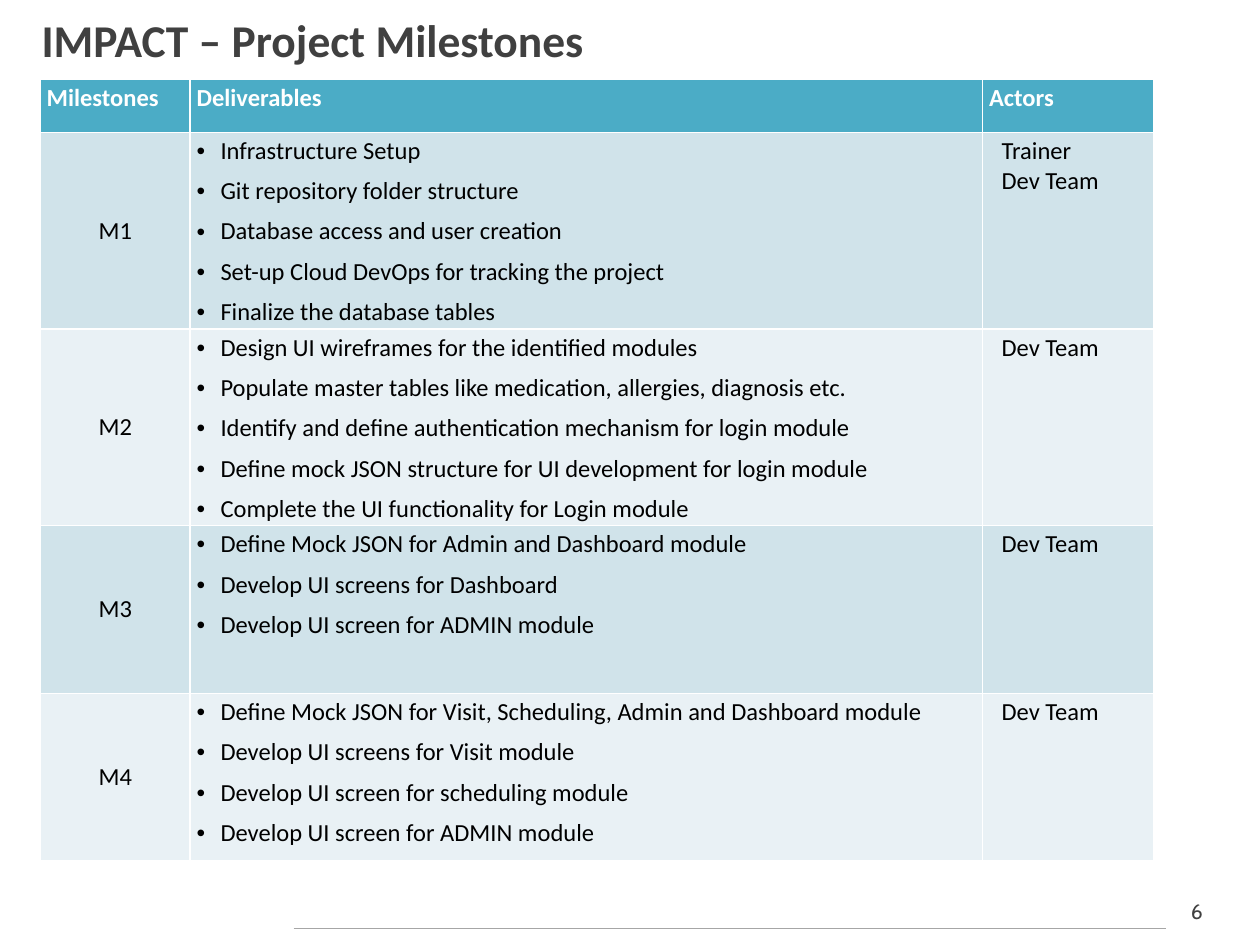
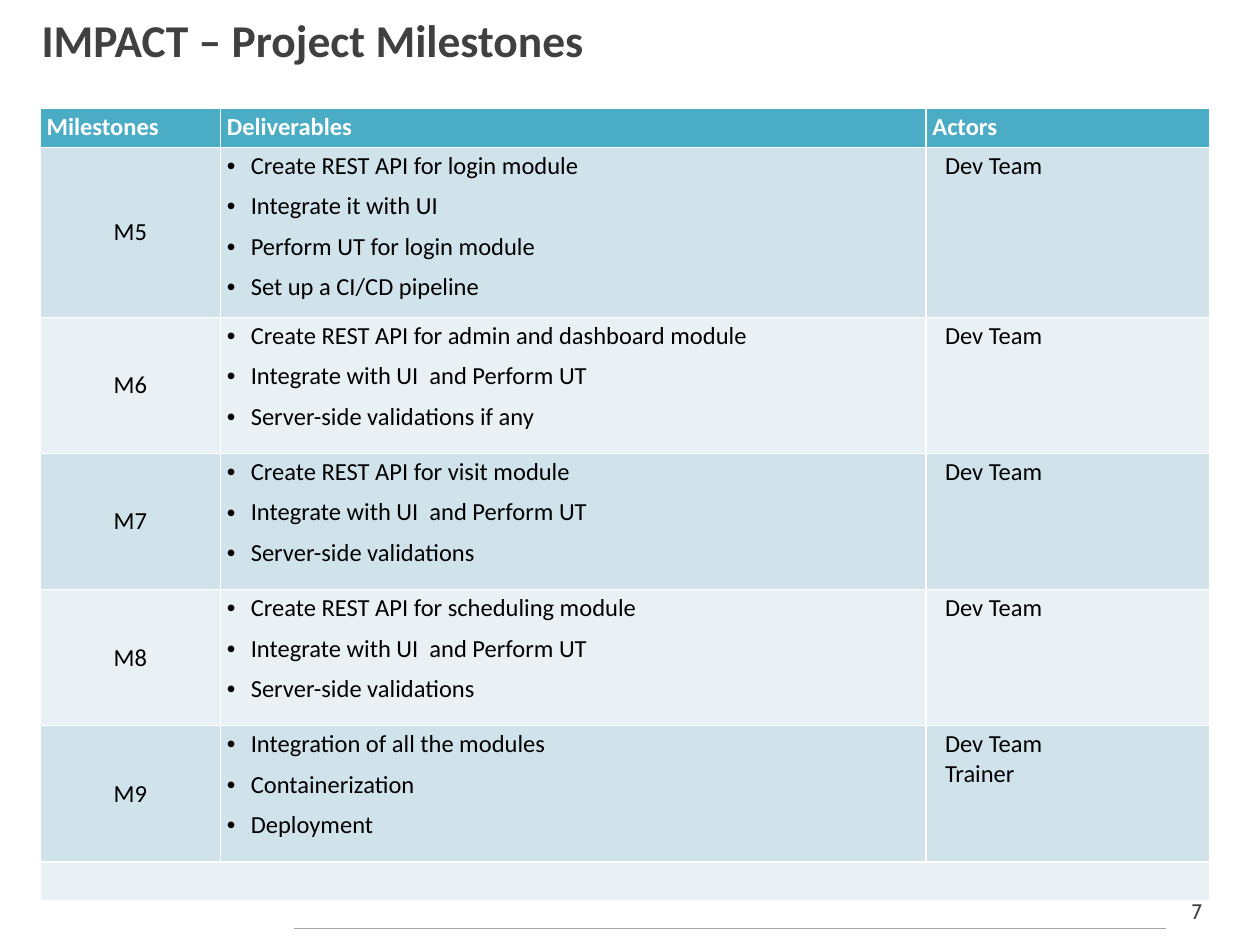
from lxml.etree import SubElement
from pptx import Presentation
from pptx.dml.color import RGBColor
from pptx.enum.shapes import MSO_CONNECTOR
from pptx.enum.text import MSO_ANCHOR, MSO_AUTO_SIZE, PP_ALIGN
from pptx.oxml.ns import qn
from pptx.util import Inches, Pt

DARK_GRAY = "404040"
RULE_GRAY = "A6A6A6"
HEADER_TEAL = "4BACC6"
BAND_COLORS = ("D0E3EA", "E9F1F5")
HEADINGS = ("Milestones", "Deliverables", "Actors")

PAGES = [
    {
        "number": 6,
        "top": 0.63,
        "columns": (1.19, 6.29, 1.36),
        "rows": (0.42, 1.33, 1.33, 1.33, 1.33),
        "milestones": [
            ("M1", ["Infrastructure Setup",
                    "Git repository folder structure",
                    "Database access and user creation",
                    "Set-up Cloud DevOps for tracking the project",
                    "Finalize the database tables"], ["Trainer", "Dev Team"]),
            ("M2", ["Design UI wireframes for the identified modules",
                    "Populate master tables like medication, allergies, diagnosis etc.",
                    "Identify and define authentication mechanism for login module",
                    "Define mock JSON structure for UI development for login module",
                    "Complete the UI functionality for Login module"], ["Dev Team"]),
            ("M3", ["Define Mock JSON for Admin and Dashboard module",
                    "Develop UI screens for Dashboard",
                    "Develop UI screen for ADMIN module"], ["Dev Team"]),
            ("M4", ["Define Mock JSON for Visit, Scheduling, Admin and Dashboard module",
                    "Develop UI screens for Visit module",
                    "Develop UI screen for scheduling module",
                    "Develop UI screen for ADMIN module"], ["Dev Team"]),
        ],
    },
    {
        "number": 7,
        "top": 0.86,
        "columns": (1.43, 5.6, 2.25),
        "rows": (0.31, 1.35, 1.08, 1.08, 1.08, 1.08, 0.31),
        "milestones": [
            ("M5", ["Create REST API for login module",
                    "Integrate it with UI",
                    "Perform UT for login module",
                    "Set up a CI/CD pipeline"], ["Dev Team"]),
            ("M6", ["Create REST API for admin and dashboard module",
                    "Integrate with UI  and Perform UT",
                    "Server-side validations if any"], ["Dev Team"]),
            ("M7", ["Create REST API for visit module",
                    "Integrate with UI  and Perform UT",
                    "Server-side validations"], ["Dev Team"]),
            ("M8", ["Create REST API for scheduling module",
                    "Integrate with UI  and Perform UT",
                    "Server-side validations"], ["Dev Team"]),
            ("M9", ["Integration of all the modules",
                    "Containerization",
                    "Deployment"], ["Dev Team", "Trainer"]),
        ],
    },
]


def set_font(para, size, color, bold=False, name="Calibri"):
    para.font.name = name
    para.font.size = Pt(size)
    para.font.bold = bold
    para.font.color.rgb = RGBColor.from_string(color)


def indent(para, left, bullet=False):
    """Indent a paragraph, with a hanging bullet if asked."""
    properties = para._p.get_or_add_pPr()
    properties.set("marL", str(Inches(left)))
    properties.set("indent", str(-Inches(left) if bullet else 0))
    if bullet:
        SubElement(properties, qn("a:buFont"), typeface="Arial")
        SubElement(properties, qn("a:buChar"), char="•")
        para.space_before = Pt(6)


deck = Presentation()
deck.slide_width = Inches(10)
deck.slide_height = Inches(7.5)
title_only = deck.slide_layouts[5]

for page in PAGES:
    slide = deck.slides.add_slide(title_only)

    # Title
    title = slide.shapes.title
    title.left, title.top = Inches(0.23), Inches(0)
    title.width, title.height = Inches(9.36), Inches(0.63)
    title.text_frame.text = "IMPACT – Project Milestones"
    title.text_frame.auto_size = MSO_AUTO_SIZE.NONE
    title.text_frame.vertical_anchor = MSO_ANCHOR.MIDDLE
    para = title.text_frame.paragraphs[0]
    para.alignment = PP_ALIGN.LEFT
    set_font(para, 26, DARK_GRAY, bold=True)

    # Footer rule and page number
    rule = slide.shapes.add_connector(
        MSO_CONNECTOR.STRAIGHT, Inches(2.33), Inches(7.37), Inches(9.25), Inches(7.37))
    rule.line.color.rgb = RGBColor.from_string(RULE_GRAY)
    rule.line.width = Pt(0.75)
    SubElement(rule._element.spPr, qn("a:effectLst"))
    number_box = slide.shapes.add_textbox(
        Inches(9.25), Inches(7.08), Inches(0.5), Inches(0.3))
    number_box.text_frame.word_wrap = True
    number_box.text_frame.text = str(page["number"])
    para = number_box.text_frame.paragraphs[0]
    para.alignment = PP_ALIGN.CENTER
    set_font(para, 12, DARK_GRAY, name="Cabin")

    # Milestone table; its default style draws the white borders
    columns, rows = page["columns"], page["rows"]
    table = slide.shapes.add_table(
        len(rows), len(columns), Inches(0.32), Inches(page["top"]),
        Inches(sum(columns)), Inches(sum(rows))).table
    for column, width in zip(table.columns, columns):
        column.width = Inches(width)

    contents = [[[heading] for heading in HEADINGS]]
    contents += [[[name], tasks, actors] for name, tasks, actors in page["milestones"]]
    if len(rows) > len(contents):
        contents.append([[""]] * len(columns))
        table.cell(len(rows) - 1, 0).merge(table.cell(len(rows) - 1, len(columns) - 1))

    for row_index, row_contents in enumerate(contents):
        table.rows[row_index].height = Inches(rows[row_index])
        is_header = row_index == 0
        fill_color = HEADER_TEAL if is_header else BAND_COLORS[(row_index - 1) % 2]
        for column_index, lines in enumerate(row_contents):
            cell = table.cell(row_index, column_index)
            cell.fill.solid()
            cell.fill.fore_color.rgb = RGBColor.from_string(fill_color)
            cell.margin_left = cell.margin_right = Inches(0.05)
            cell.margin_top = cell.margin_bottom = Inches(0.03)
            cell.text = "\n".join(lines)
            if column_index == 0 and not is_header:
                cell.vertical_anchor = MSO_ANCHOR.MIDDLE
            for para in cell.text_frame.paragraphs:
                if is_header or not para.text:
                    para.alignment = PP_ALIGN.LEFT
                elif column_index == 0:
                    para.alignment = PP_ALIGN.CENTER
                elif column_index == 1:
                    indent(para, 0.19, bullet=True)
                else:
                    indent(para, 0.1)
                set_font(para, 14, "FFFFFF" if is_header else "000000", bold=is_header)

deck.save("out.pptx")
